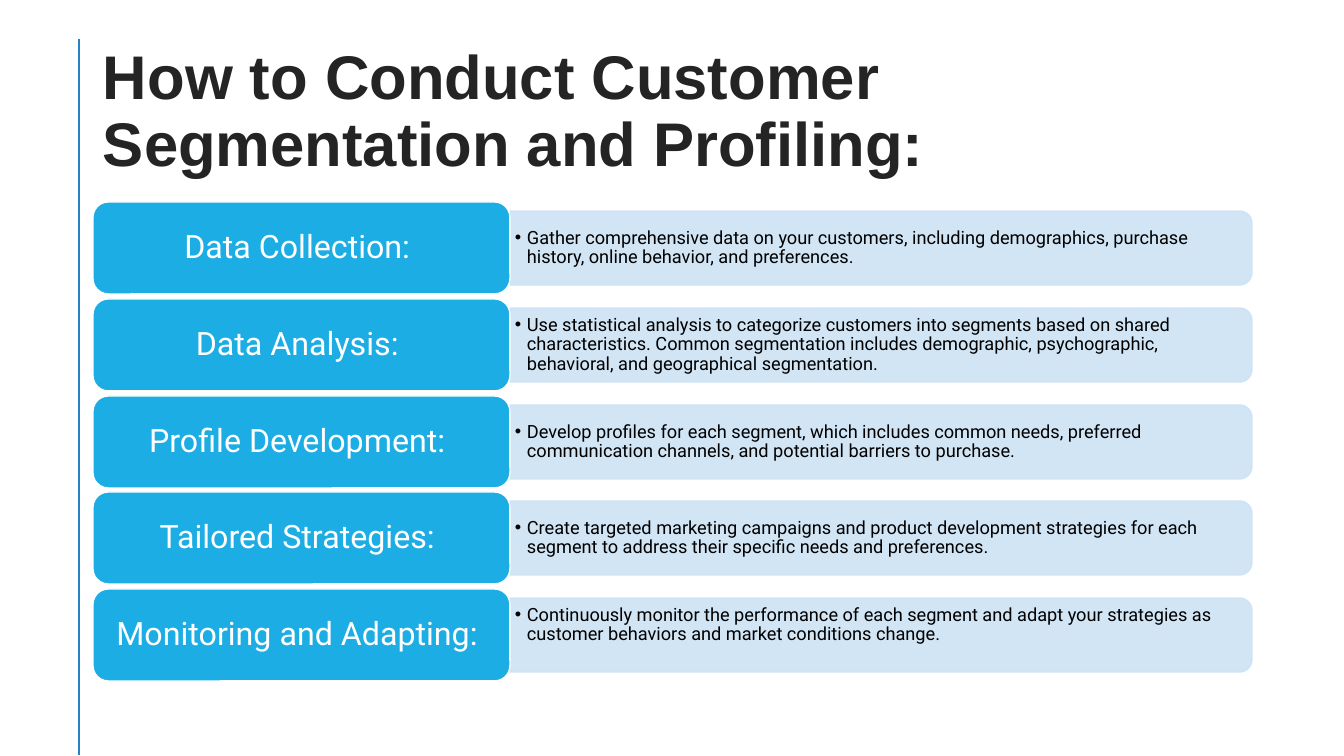
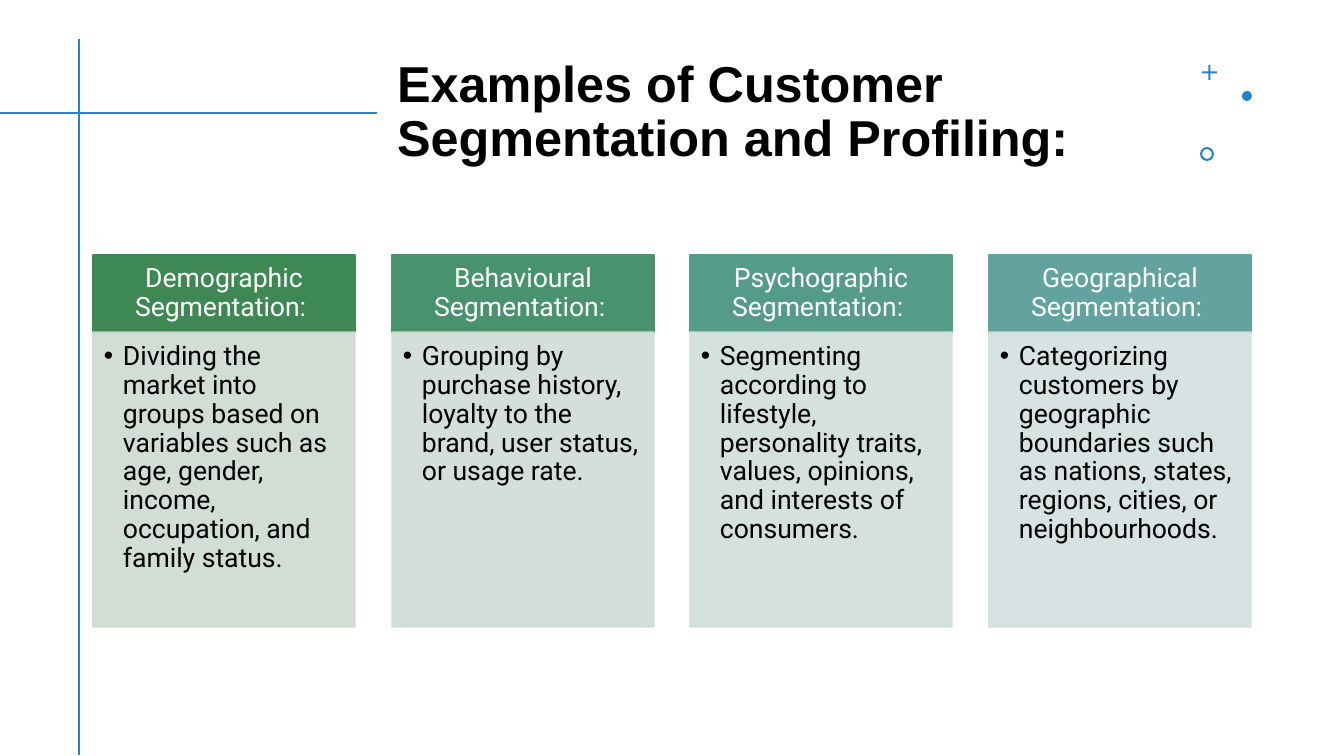
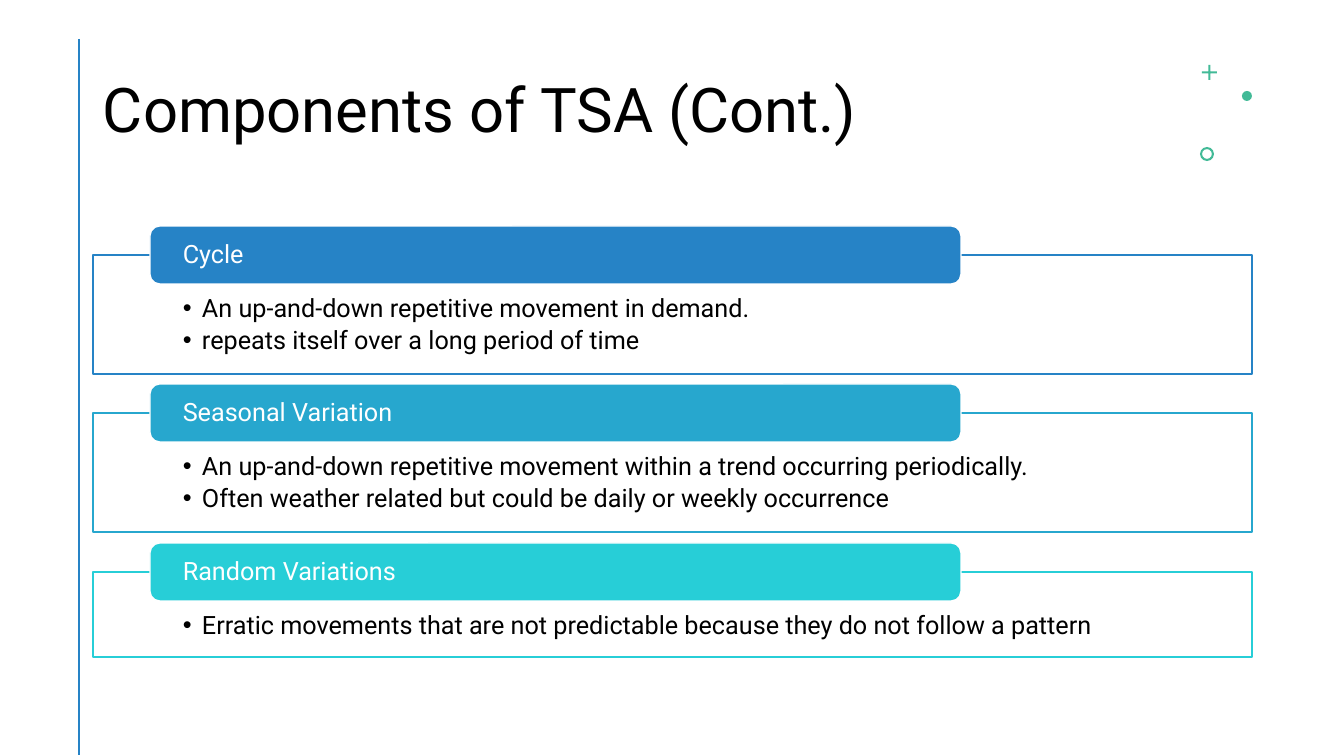
from lxml import etree
from pptx import Presentation
from pptx.dml.color import RGBColor
from pptx.enum.shapes import MSO_CONNECTOR, MSO_SHAPE
from pptx.enum.text import MSO_ANCHOR, MSO_AUTO_SIZE, PP_ALIGN
from pptx.oxml.ns import qn
from pptx.util import Emu, Pt

RECT = MSO_SHAPE.RECTANGLE
ROUNDED = MSO_SHAPE.ROUNDED_RECTANGLE
ROUND_TOP = MSO_SHAPE.ROUND_2_SAME_RECTANGLE
CROSS, OVAL, DONUT = MSO_SHAPE.CROSS, MSO_SHAPE.OVAL, MSO_SHAPE.DONUT
STRAIGHT = MSO_CONNECTOR.STRAIGHT
TOP, MIDDLE = MSO_ANCHOR.TOP, MSO_ANCHOR.MIDDLE
LEFT, CENTER = PP_ALIGN.LEFT, PP_ALIGN.CENTER
NO_AUTOFIT = MSO_AUTO_SIZE.NONE

# Shared style
EMU_PER_PX = 914400 / 100.8
BLUE, GREEN, SKY, PALE_BLUE = "2683C6", "42BA97", "1CADE4", "CDE3F5"
WHITE, BLACK, CHARCOAL = "FFFFFF", "000000", "242424"
BODY_FONT, HEAD_FONT = "Roboto", "Arial"
TITLE_ONLY = 5
CONTENT_LEFT, CONTENT_WIDTH = 93, 1159

# Content
STEPS = [
    ("Data Collection: ",
     "Gather comprehensive data on your customers, including demographics, "
     "purchase history, online behavior, and preferences."),
    ("Data Analysis: ",
     "Use statistical analysis to categorize customers into segments based on "
     "shared characteristics. Common segmentation includes demographic, "
     "psychographic, behavioral, and geographical segmentation."),
    ("Profile Development: ",
     "Develop profiles for each segment, which includes common needs, preferred "
     "communication channels, and potential barriers to purchase."),
    ("Tailored Strategies: ",
     "Create targeted marketing campaigns and product development strategies "
     "for each segment to address their specific needs and preferences."),
    ("Monitoring and Adapting: ",
     "Continuously monitor the performance of each segment and adapt your "
     "strategies as customer behaviors and market conditions change."),
]
SEGMENTS = [
    ("Demographic Segmentation: ", "3E8853", "CEDAD1",
     "Dividing the market into groups based on variables such as age, gender, "
     "income, occupation, and family status."),
    ("Behavioural Segmentation: ", "49926E", "D0DCD5",
     "Grouping by purchase history, loyalty to the brand, user status, or "
     "usage rate."),
    ("Psychographic Segmentation: ", "549C88", "D1DEDA",
     "Segmenting according to lifestyle, personality traits, values, opinions, "
     "and interests of consumers."),
    ("Geographical Segmentation: ", "62A39F", "D3E0DF",
     "Categorizing customers by geographic boundaries such as nations, states, "
     "regions, cities, or neighbourhoods."),
]
COMPONENTS = [
    ("Cycle", BLUE, 119,
     ["An up-and-down repetitive movement in demand.",
      "repeats itself over a long period of time"]),
    ("Seasonal Variation", "27A7CE", 119,
     ["An up-and-down repetitive movement within a trend occurring periodically.",
      "Often weather related but could be daily or weekly occurrence"]),
    ("Random Variations", "27CED7", 85,
     ["Erratic movements that are not predictable because they do not follow a "
      "pattern"]),
]


def px(length):
    return Emu(round(length * EMU_PER_PX))


def rgb(color):
    return RGBColor.from_string(color)


def spread(first, last, count):
    """Whole-pixel starts of count items at equal pitch."""
    return [first + round(i * (last - first) / (count - 1)) for i in range(count)]


def add_block(slide, preset, box, fill, line=None, alpha=100):
    block = slide.shapes.add_shape(preset, *map(px, box))
    block.shadow.inherit = False
    block.fill.solid()
    block.fill.fore_color.rgb = rgb(fill)
    if line:
        block.line.color.rgb = rgb(line)
        block.line.width = Pt(1)
    else:
        block.line.fill.background()
    if alpha < 100:
        for color in block._element.spPr.iter(qn("a:srgbClr")):
            etree.SubElement(color, qn("a:alpha"), val=str(alpha * 1000))
    return block


def add_rule(slide, x1, y1, x2, y2):
    rule = slide.shapes.add_connector(STRAIGHT, *map(px, (x1, y1, x2, y2)))
    rule.line.color.rgb = rgb(BLUE)
    rule.line.width = Pt(2)
    etree.SubElement(rule._element.spPr, qn("a:effectLst"))


def add_bullet(paragraph, hang):
    props = paragraph._p.get_or_add_pPr()
    props.set("marL", str(px(hang)))
    props.set("indent", str(-px(hang)))
    etree.SubElement(props, qn("a:buFont"), typeface="Arial")
    etree.SubElement(props, qn("a:buChar"), char="•")


def write(shape, lines, size, color=BLACK, insets=(10, 5, 10, 5), anchor=MIDDLE,
          align=LEFT, hang=0, font=BODY_FONT, bold=False):
    frame = shape.text_frame
    frame.word_wrap = True
    frame.auto_size = NO_AUTOFIT
    frame.vertical_anchor = anchor
    (frame.margin_left, frame.margin_top,
     frame.margin_right, frame.margin_bottom) = map(px, insets)
    frame.text = "\n".join(lines)
    for paragraph in frame.paragraphs:
        paragraph.alignment = align
        paragraph.line_spacing = 0.9
        if hang:
            paragraph.space_after = Pt(round(size * 0.15))
            add_bullet(paragraph, hang)
        paragraph.font.size = Pt(size)
        paragraph.font.name = font
        paragraph.font.bold = bold
        paragraph.font.color.rgb = rgb(color)


def add_titled_slide(deck, title, left, width, size, **style):
    slide = deck.slides.add_slide(deck.slide_layouts[TITLE_ONLY])
    heading = slide.shapes.title
    heading.left, heading.top, heading.width, heading.height = map(
        px, (left, 40, width, 146))
    write(heading, [title], size, **style)
    add_rule(slide, 79, 39, 79, 755)
    return slide


def add_corner_marks(slide, color):
    plus = add_block(slide, CROSS, (1202, 65, 15, 15), color)
    plus.adjustments[0] = 0.43
    add_block(slide, OVAL, (1242, 91, 10, 10), color)
    ring = add_block(slide, DONUT, (1200, 147, 14, 14), color)
    ring.adjustments[0] = 0.15


def add_step(slide, top, label, detail, lift):
    # Band is drawn upright, then turned so its round corners face right
    left, width, height = 510, 742, 74
    band_top = top + 9
    upright = (left + (width - height) // 2, band_top - (width - height) // 2,
               height, width)
    band = add_block(slide, ROUND_TOP, upright, PALE_BLUE, PALE_BLUE, alpha=90)
    band.rotation = 90
    note = slide.shapes.add_textbox(*map(px, (left, band_top, width - 4, height)))
    write(note, [detail], 13, insets=(5, 3, 5, 3 + lift), hang=12)
    card = add_block(slide, ROUNDED, (CONTENT_LEFT, top, 417, 92), SKY, WHITE)
    write(card, [label], 23, WHITE, align=CENTER)


def add_segment(slide, left, label, color, tint, detail):
    header = add_block(slide, RECT, (left, 255, 262, 77), color, color)
    write(header, [label], 19, WHITE, insets=(15, 8, 15, 8), align=CENTER)
    body = add_block(slide, RECT, (left, 332, 262, 295), tint, tint, alpha=90)
    write(body, [detail], 19, insets=(11, 11, 13, 17), anchor=TOP, hang=19)


def add_component(slide, top, label, color, height, details):
    frame = add_block(slide, RECT, (CONTENT_LEFT, top, CONTENT_WIDTH, height),
                      WHITE, color)
    write(frame, details, 18, insets=(90, 41, 90, 14), anchor=TOP, hang=19)
    tab = add_block(slide, ROUNDED, (150, top - 29, 811, 58), color, WHITE)
    write(tab, [label], 18, WHITE, insets=(30, 0, 30, 0))


def build_steps(deck):
    slide = add_titled_slide(
        deck, "How to Conduct Customer Segmentation and Profiling:",
        CONTENT_LEFT, CONTENT_WIDTH, 44, color=CHARCOAL, font=HEAD_FONT, bold=True)
    tops = spread(202, 589, len(STEPS))
    for top, (label, detail) in zip(tops, STEPS):
        # The closing note sits one line higher in its band
        lift = 20 if top == tops[-1] else 0
        add_step(slide, top, label, detail, lift)


def build_segments(deck):
    slide = add_titled_slide(
        deck, "Examples of Customer Segmentation and Profiling:",
        387, 789, 36, font=HEAD_FONT, bold=True)
    add_rule(slide, 0, 113, 377, 113)
    add_corner_marks(slide, BLUE)
    for left, segment in zip(spread(93, 989, len(SEGMENTS)), SEGMENTS):
        add_segment(slide, left, *segment)


def build_components(deck):
    slide = add_titled_slide(deck, "Components of TSA (Cont.)",
                             CONTENT_LEFT, 1085, 44)
    add_corner_marks(slide, GREEN)
    for top, component in zip(spread(255, 572, len(COMPONENTS)), COMPONENTS):
        add_component(slide, top, *component)


def main():
    deck = Presentation()
    deck.slide_width, deck.slide_height = px(1344), px(756)
    build_steps(deck)
    build_segments(deck)
    build_components(deck)
    deck.save("out.pptx")


if __name__ == "__main__":
    main()
